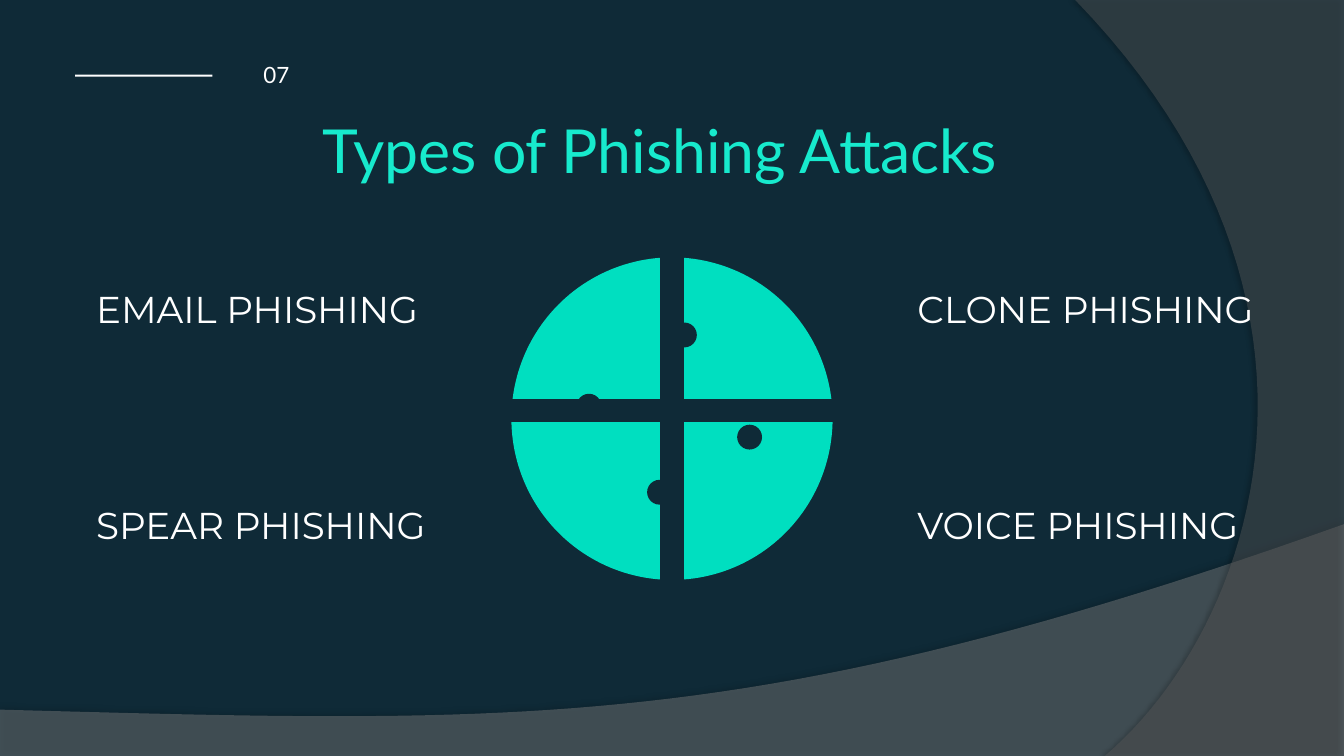
from lxml import etree
from pptx import Presentation
from pptx.dml.color import RGBColor
from pptx.enum.shapes import MSO_CONNECTOR, MSO_SHAPE
from pptx.enum.text import MSO_ANCHOR, MSO_AUTO_SIZE, PP_ALIGN
from pptx.oxml.ns import qn
from pptx.util import Inches, Pt

OVAL, RECT = MSO_SHAPE.OVAL, MSO_SHAPE.RECTANGLE
LINE = MSO_CONNECTOR.STRAIGHT
TOP, LEFT, FIXED = MSO_ANCHOR.TOP, PP_ALIGN.LEFT, MSO_AUTO_SIZE.NONE
COLORS = {"night": "0F2A37", "teal": "00DFC0", "title": "17EACD",
          "white": "FFFFFF", "wave": "7F7F7F", "edge": "5E5E5E",
          "shade": "000000"}


def color(name):
    """Return the named colour."""
    return RGBColor.from_string(COLORS[name])


def paint(shape, name):
    """Fill a shape plainly, without line or shadow."""
    shape.shadow.inherit = False
    shape.fill.solid()
    shape.fill.fore_color.rgb = color(name)
    shape.line.fill.background()


def fade(node, share):
    """Give a colour element an opacity in percent."""
    etree.SubElement(node, qn("a:alpha")).set("val", str(share * 1000))


def shade(shape, share, gap, turn):
    """Cast a soft shadow, with its distance in points and turn in degrees."""
    box = shape._element.spPr.find(qn("a:effectLst"))
    cast = etree.SubElement(box, qn("a:outerShdw"), blurRad=str(Pt(4)),
                            dist=str(Pt(gap)), dir=str(turn * 60000),
                            algn="ctr", rotWithShape="0")
    tone = etree.SubElement(cast, qn("a:srgbClr"), val=COLORS["shade"])
    fade(tone, share)


def curve(ends, steps=48):
    """Return points along a cubic curve through its four control points."""
    points = []
    for step in range(steps + 1):
        t = step / steps
        parts = ((1 - t) ** 3, 3 * t * (1 - t) ** 2, 3 * t * t * (1 - t), t ** 3)
        points.append(tuple(sum(part * end[axis] for part, end in zip(parts, ends))
                            for axis in (0, 1)))
    return points


def swoop(slide, box, corners, bend, name, share):
    """Draw a translucent band from shares of its box, closed by a curve."""
    left, top, width, height = box
    points = [(Inches(left + x * width), Inches(top + y * height))
              for x, y in corners + curve(bend)]
    build = slide.shapes.build_freeform(*points[0])
    build.add_line_segments(points[1:], close=True)
    band = build.convert_to_shape()
    paint(band, name)
    fade(band._element.spPr.find(".//" + qn("a:srgbClr")), share)
    return band


def backdrop(slide, box):
    """Draw the bottom wave and the right edge over the night ground."""
    left, top, width, height = box
    slide.background.fill.solid()
    slide.background.fill.fore_color.rgb = color("night")
    wave = swoop(slide, (left, top + 7.8, width, height - 7.8),
                 [(0, 1), (1, 1)],
                 [(1, 0), (0.56, 0.91), (0.39, 0.86), (0, 0.8)], "wave", 45)
    shade(wave, 35, 3.5, 270)
    edge = swoop(slide, (left + width - 4, top, 4, height),
                 [(1, 0), (1, 1)],
                 [(0.11, 1), (0.67, 0.83), (1.09, 0.4), (0, 0)], "edge", 40)
    shade(edge, 45, 4, 180)


def write(shape, box, text, size, lead, font, name):
    """Place a shape and set its one line of text."""
    shape.left, shape.top, shape.width, shape.height = map(Inches, box)
    frame = shape.text_frame
    frame.text = text
    frame.word_wrap = True
    frame.auto_size = FIXED
    frame.vertical_anchor = TOP
    frame.margin_left = frame.margin_right = 0
    frame.margin_top = frame.margin_bottom = 0
    line = frame.paragraphs[0]
    line.alignment = LEFT
    line.line_spacing = Pt(lead)
    line.font.size = Pt(size)
    line.font.name = font
    line.font.color.rgb = color(name)


def label(slide, box, *style):
    """Add a text box."""
    write(slide.shapes.add_textbox(*map(Inches, box)), box, *style)


def header(slide, box):
    """Place the rule, the page number and the title."""
    left, top, width, height = box
    rule = slide.shapes.add_shape(RECT, Inches(left), Inches(top + 0.14),
                                  Inches(2.04), Inches(0.03))
    paint(rule, "white")
    label(slide, (left + 2.8, top, 3.47, 0.36), "07", 24, 24, "Lato", "white")
    write(slide.shapes.title, (left + 3.68, top + 0.8, width - 3.68, height - 0.8),
          "Types of Phishing Attacks", 65, 71.5, "Lato", "title")


def disc(slide, box):
    """Draw the disc, the cross that splits it and its four dots."""
    left, top, width, height = box
    paint(slide.shapes.add_shape(OVAL, *map(Inches, box)), "teal")
    midx, midy, reach = left + width / 2, top + 2.28, 2.58
    for dx, dy in ((reach, 0), (0, reach)):
        bar = slide.shapes.add_connector(
            LINE, Inches(midx - dx), Inches(midy - dy),
            Inches(midx + dx), Inches(midy + dy))
        bar.line.color.rgb = color("night")
        bar.line.width = Pt(24.7)
        etree.SubElement(bar._element.spPr, qn("a:effectLst"))
    for x, y in ((2.39, 0.97), (3.36, 2.49), (0.97, 2.03), (2.02, 3.31)):
        dot = slide.shapes.add_shape(OVAL, Inches(left + x), Inches(top + y),
                                     Inches(0.37), Inches(0.37))
        paint(dot, "night")


def types(slide, box):
    """Place the four attack names at the corners of the box."""
    left, top, width, height = box
    names = (("EMAIL PHISHING", "CLONE PHISHING"),
             ("SPEAR PHISHING", "VOICE PHISHING"))
    wide, tall = 5.22, 0.71
    for row, pair in enumerate(names):
        for col, name in enumerate(pair):
            spot = (left + col * (width - wide), top + row * (height - tall),
                    wide, tall)
            label(slide, spot, name, 40, 52, "Montserrat", "white")


def main():
    """Build the deck."""
    deck = Presentation()
    deck.slide_width, deck.slide_height = Inches(20), Inches(11.25)
    slide = deck.slides.add_slide(deck.slide_layouts[5])
    backdrop(slide, (0, 0, 20, 11.25))
    disc(slide, (7.61, 3.83, 4.78, 4.8))
    header(slide, (1.12, 0.97, 14.09, 1.82))
    types(slide, (1.43, 4.2, 17.44, 3.92))
    deck.save("out.pptx")


if __name__ == "__main__":
    main()
